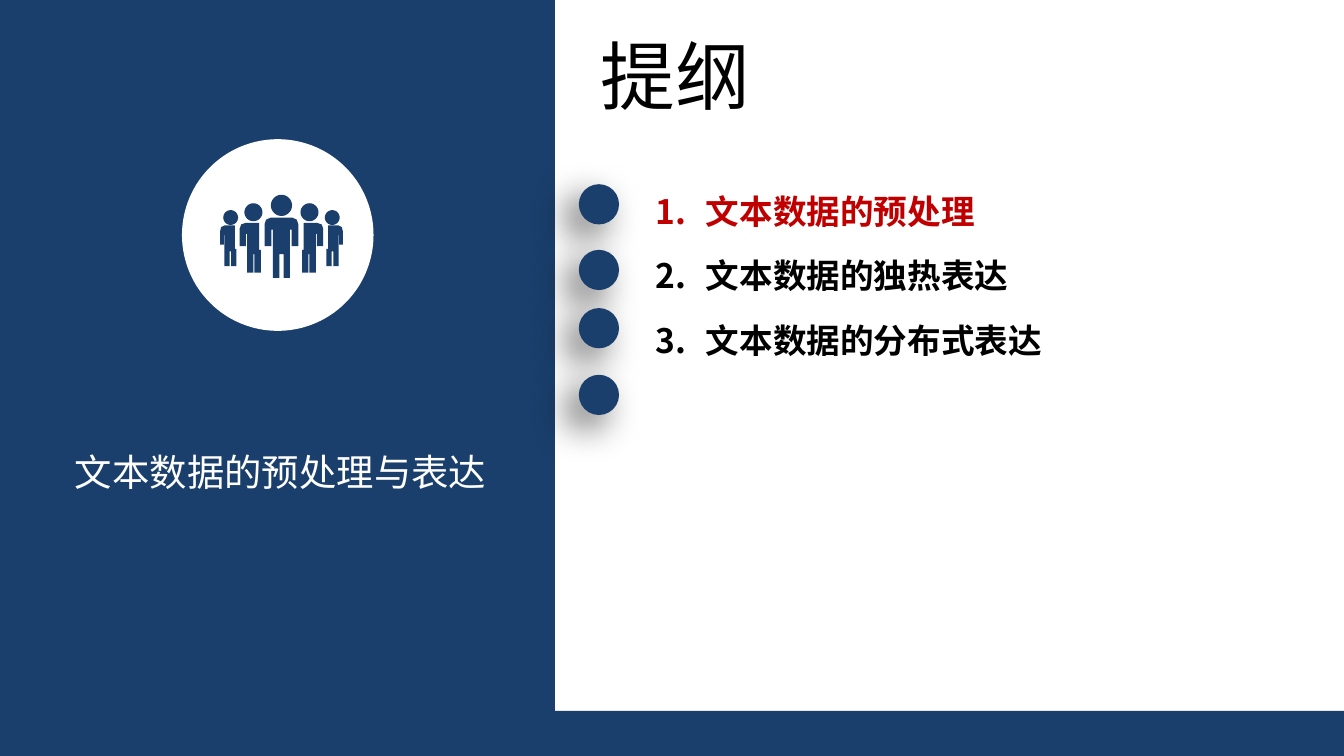
from math import cos, pi, sin

from lxml.etree import SubElement
from pptx import Presentation
from pptx.dml.color import RGBColor
from pptx.enum.shapes import MSO_SHAPE
from pptx.enum.text import MSO_ANCHOR, MSO_AUTO_SIZE, PP_ALIGN
from pptx.oxml.ns import qn
from pptx.util import Cm, Pt

COLORS = {"navy": "1A3F6C", "white": "FFFFFF", "black": "000000", "red": "C00000"}
FONT = "Noto Sans CJK SC"
PAGE_WIDTH, PAGE_HEIGHT = 25.4, 14.28
PANEL_WIDTH = 10.49
UNITS = 1000  # freeform units per centimetre

# Outlines in cm from the middle axis and top of the people icon
LEADER_HALF = [(0, 0.43), (0.2, 0.43), (0.29, 0.47), (0.32, 0.56), (0.32, 0.97),
               (0.19, 0.97), (0.19, 0.66), (0.16, 0.66), (0.16, 1.57), (0.04, 1.57),
               (0.04, 1.12), (0, 1.12)]
INNER_BODY = [(0.39, 1.04), (0.39, 1.47), (0.51, 1.47), (0.51, 1.12), (0.53, 1.12),
              (0.53, 1.47), (0.65, 1.47), (0.65, 0.74), (0.67, 0.74), (0.67, 0.97),
              (0.79, 0.97), (0.79, 0.64), (0.76, 0.56), (0.67, 0.53), (0.42, 0.53),
              (0.42, 1.04)]
OUTER_BODY = [(0.85, 1.02), (0.85, 1.35), (0.95, 1.35), (0.95, 1.07), (0.98, 1.07),
              (0.98, 1.35), (1.08, 1.35), (1.08, 0.76), (1.09, 0.76), (1.09, 0.94),
              (1.16, 0.94), (1.16, 0.69), (1.14, 0.61), (1.08, 0.58), (0.88, 0.58),
              (0.88, 1.02)]


def rgb(name):
    return RGBColor.from_string(COLORS[name])


def paint(shape, color):
    shape.fill.solid()
    shape.fill.fore_color.rgb = rgb(color)
    shape.line.fill.background()
    shape.shadow.inherit = False


def add_block(shapes, kind, left, top, width, height, color):
    block = shapes.add_shape(kind, Cm(left), Cm(top), Cm(width), Cm(height))
    paint(block, color)
    return block


def format_para(para, size, color, bold=False):
    for span in para.runs:
        span.font.size = Pt(size)
        span.font.bold = bold
        span.font.color.rgb = rgb(color)
        span.font.name = FONT
        SubElement(span._r.get_or_add_rPr(), qn("a:ea"), typeface=FONT)


def place(box, left, top, width, height):
    box.left, box.top, box.width, box.height = Cm(left), Cm(top), Cm(width), Cm(height)


def mirror(points):
    return [(-x, y) for x, y in points]


def head(x, y, radius, steps=32):
    angles = [2 * pi * step / steps for step in range(steps)]
    return [(x + radius * cos(angle), y + radius * sin(angle)) for angle in angles]


def add_people(shapes, axis, top):
    """Draw five standing figures, symmetric about the axis, as one outline."""
    side = [head(0.53, 0.33, 0.17), INNER_BODY, head(0.96, 0.43, 0.14), OUTER_BODY]
    leader = LEADER_HALF + mirror(LEADER_HALF)[::-1]
    contours = [head(0, 0.2, 0.2), leader, *side, *map(mirror, side)]
    builder = None
    for contour in contours:
        points = [((axis + x) * UNITS, (top + y) * UNITS) for x, y in contour]
        if builder is None:
            builder = shapes.build_freeform(*points[0], scale=Cm(1) / UNITS)
        else:
            builder.move_to(*points[0])
        builder.add_line_segments(points[1:], close=True)
    paint(builder.convert_to_shape(), "navy")


def add_topic_panel(page, left, top, width, height):
    add_block(page.shapes, MSO_SHAPE.RECTANGLE, left, top, width, height, "navy")

    box = page.shapes.add_textbox(Cm(left + 1.37), Cm(top + 8.48), Cm(7.87), Cm(0.86))
    frame = box.text_frame
    frame.word_wrap = True
    frame.auto_size = MSO_AUTO_SIZE.SHAPE_TO_FIT_TEXT
    frame.margin_left = frame.margin_right = frame.margin_top = frame.margin_bottom = 0
    frame.text = "文本数据的预处理与表达"
    frame.paragraphs[0].alignment = PP_ALIGN.CENTER
    format_para(frame.paragraphs[0], 20, "white")

    icon = page.shapes.add_group_shape()
    add_block(icon.shapes, MSO_SHAPE.OVAL, left + 3.44, top + 2.63, 3.62, 3.62, "white")
    add_people(icon.shapes, left + 5.32, top + 3.68)


def add_title(page, left, top, width, height):
    title = page.shapes.title
    place(title, left, top, width, height)
    frame = title.text_frame
    frame.text = "提纲"
    frame.word_wrap = False
    frame.auto_size = MSO_AUTO_SIZE.SHAPE_TO_FIT_TEXT
    frame.vertical_anchor = MSO_ANCHOR.TOP
    frame.paragraphs[0].alignment = PP_ALIGN.LEFT
    format_para(frame.paragraphs[0], 40, "black")


def add_outline(page, left, top, width, height):
    topics = [("文本数据的预处理", "red"), ("文本数据的独热表达", "black"),
              ("文本数据的分布式表达", "black")]
    box = page.shapes.add_textbox(Cm(left), Cm(top), Cm(width), Cm(height))
    frame = box.text_frame
    frame.word_wrap = False
    frame.auto_size = MSO_AUTO_SIZE.SHAPE_TO_FIT_TEXT
    frame.text = "\n".join(topic for topic, _ in topics)
    for para, (_, color) in zip(frame.paragraphs, topics):
        para.line_spacing = 1.6
        properties = para._p.get_or_add_pPr()
        properties.set("marL", str(Cm(0.95)))
        properties.set("indent", str(-Cm(0.95)))
        SubElement(properties, qn("a:buFont"), typeface="+mj-lt")
        SubElement(properties, qn("a:buAutoNum"), type="arabicPeriod")
        format_para(para, 18, color, bold=True)


def add_shadow(shape):
    effects = shape._element.spPr.find(qn("a:effectLst"))
    shadow = SubElement(effects, qn("a:outerShdw"), blurRad=str(Pt(20)),
                        dist=str(Pt(10)), dir="8100000", algn="tr", rotWithShape="0")
    color = SubElement(shadow, qn("a:srgbClr"), val=COLORS["black"])
    SubElement(color, qn("a:alpha"), val="60000")


def add_dots(page, left, top, diameter):
    for offset in (0, 1.24, 2.34, 3.6):
        dot = add_block(page.shapes, MSO_SHAPE.OVAL, left, top + offset,
                        diameter, diameter, "navy")
        add_shadow(dot)


def main():
    deck = Presentation()
    deck.slide_width, deck.slide_height = Cm(PAGE_WIDTH), Cm(PAGE_HEIGHT)
    page = deck.slides.add_slide(deck.slide_layouts[5])
    add_block(page.shapes, MSO_SHAPE.RECTANGLE, 0, 13.43, PAGE_WIDTH, 0.85, "navy")
    add_topic_panel(page, 0, 0, PANEL_WIDTH, PAGE_HEIGHT)
    add_title(page, 11.1, 0.43, 3.35, 1.96)
    add_outline(page, 12.14, 3.02, 7.9, 3.78)
    add_dots(page, 10.94, 3.48, 0.76)
    deck.save("out.pptx")


if __name__ == "__main__":
    main()
